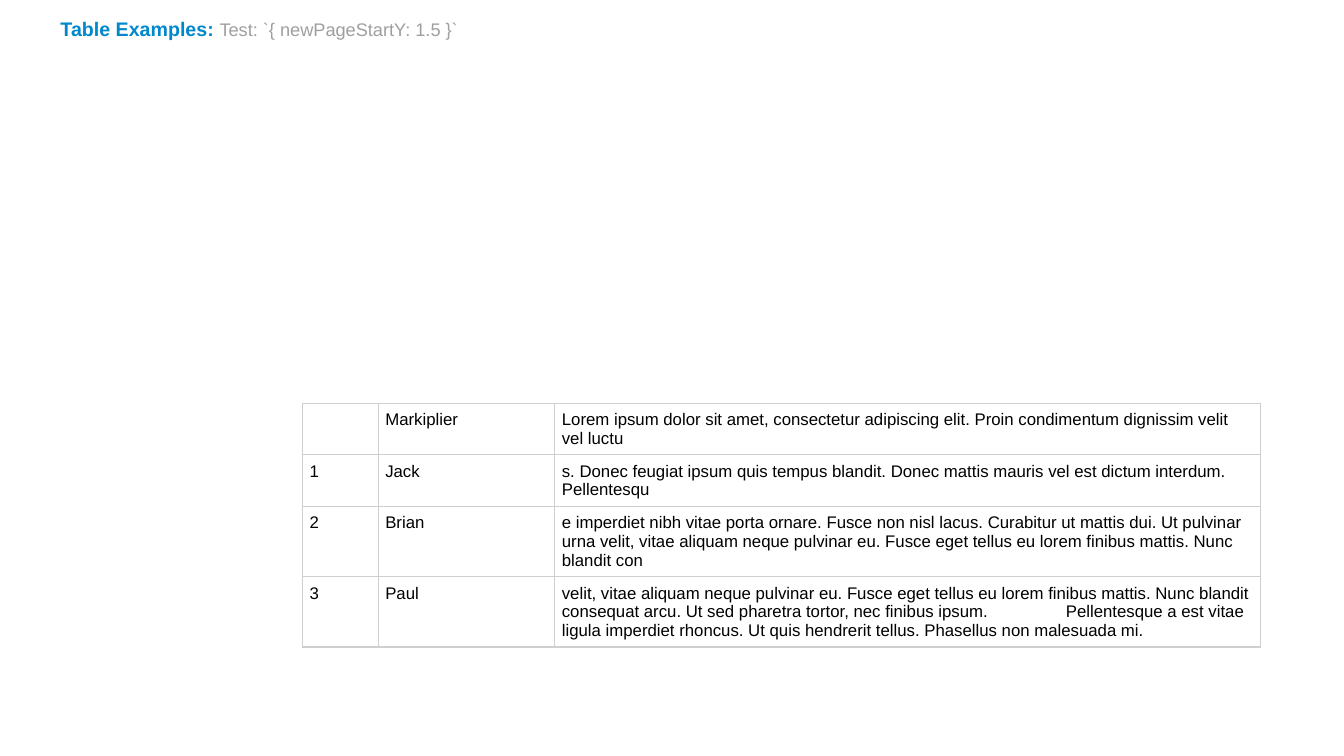
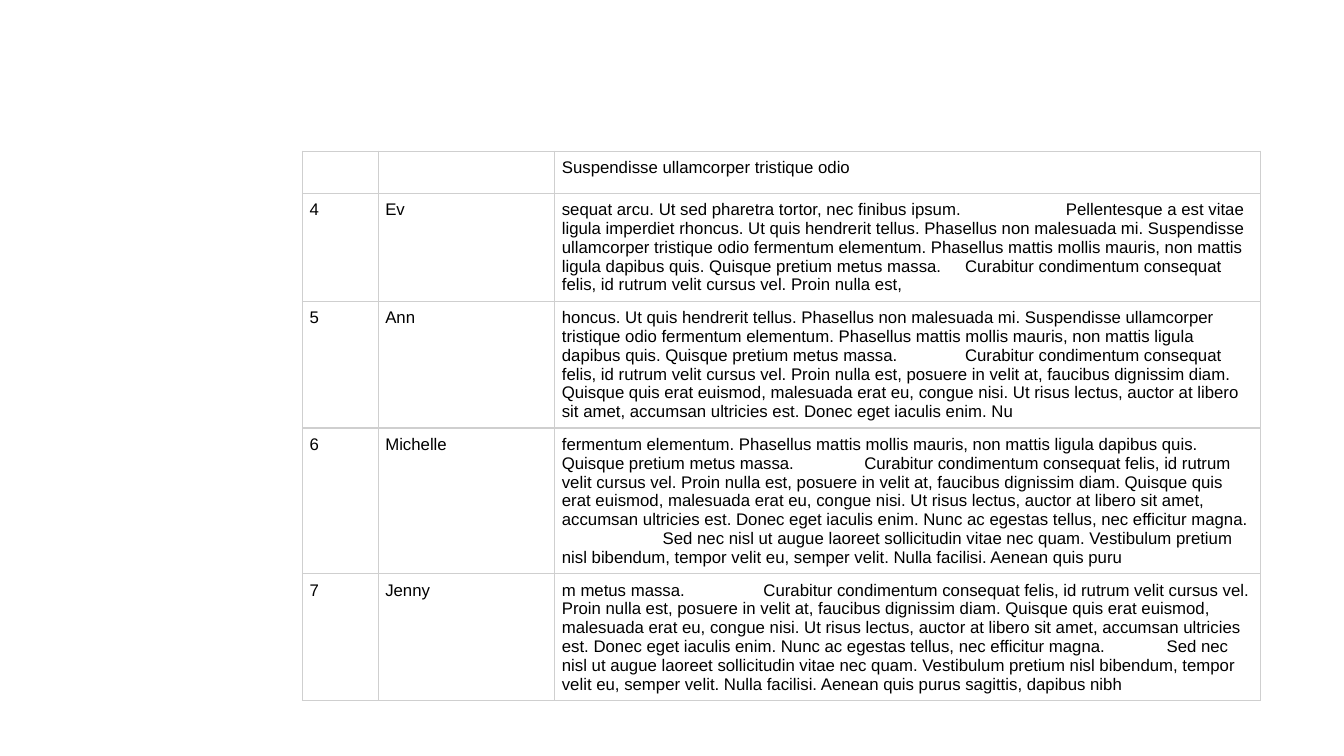
from lxml import etree
from pptx import Presentation
from pptx.dml.color import RGBColor
from pptx.enum.text import MSO_ANCHOR, MSO_AUTO_SIZE, PP_ALIGN
from pptx.oxml.ns import qn
from pptx.util import Cm, Pt

LEFT = PP_ALIGN.LEFT
MIDDLE = MSO_ANCHOR.MIDDLE
NO_FIT = MSO_AUTO_SIZE.NONE
TITLE_ONLY, BLANK = 5, 6

FONT = "Arial"
BLUE, GRAY, BLACK, BORDER = "0088CC", "9F9F9F", "000000", "CFCFCF"
COL_WIDTHS = [Cm(1.91), Cm(4.45), Cm(17.78)]
ROW_HEIGHT = Cm(1.06)
TABLE_LEFT = Cm(7.62)
INSET = Cm(0.18)
BOTTOM_INSET = Cm(0.17)
TAB_STEP = Cm(2.54)
TAB_COUNT = 6


def style_run(r, size, color, bold=False):
    r.font.name = FONT
    r.font.size = Pt(size)
    r.font.bold = bold
    r.font.color.rgb = RGBColor.from_string(color)


def add_borders(cell):
    tcPr = cell._tc.get_or_add_tcPr()
    for side in ("lnL", "lnR", "lnT", "lnB"):
        ln = etree.SubElement(tcPr, qn(f"a:{side}"), w=str(Pt(1)))
        fill = etree.SubElement(ln, qn("a:solidFill"))
        etree.SubElement(fill, qn("a:srgbClr"), val=BORDER)


title_parts = [
    ("Table Examples: ", 14, BLUE, True),
    ("Test: `{ newPageStartY: 1.5 }`", 13, GRAY, False),
]

first_rows = [
    ("", "Markiplier", "Lorem ipsum dolor sit amet, consectetur adipiscing elit. Proin condimentum dignissim velit vel luctu"),
    ("1", "Jack", "s. Donec feugiat ipsum quis tempus blandit. Donec mattis mauris vel est dictum interdum. Pellentesqu"),
    ("2", "Brian", "e imperdiet nibh vitae porta ornare. Fusce non nisl lacus. Curabitur ut mattis dui. "
     "Ut pulvinar urna velit, vitae aliquam neque pulvinar eu. Fusce eget tellus eu lorem finibus mattis. "
     "Nunc blandit con"),
    ("3", "Paul", "velit, vitae aliquam neque pulvinar eu. Fusce eget tellus eu lorem finibus mattis. "
     "Nunc blandit consequat arcu. Ut sed pharetra tortor, nec finibus ipsum. \t"
     "Pellentesque a est vitae ligula imperdiet rhoncus. Ut quis hendrerit tellus. Phasellus non malesuada mi."),
]

second_rows = [
    ("", "", "Suspendisse ullamcorper tristique odio"),
    ("4", "Ev", "sequat arcu. Ut sed pharetra tortor, nec finibus ipsum. \t"
     "Pellentesque a est vitae ligula imperdiet rhoncus. Ut quis hendrerit tellus. Phasellus non malesuada mi. "
     "Suspendisse ullamcorper tristique odio fermentum elementum. "
     "Phasellus mattis mollis mauris, non mattis ligula dapibus quis. Quisque pretium metus massa. \t"
     "Curabitur condimentum consequat felis, id rutrum velit cursus vel. Proin nulla est,"),
    ("5", "Ann", "honcus. Ut quis hendrerit tellus. Phasellus non malesuada mi. "
     "Suspendisse ullamcorper tristique odio fermentum elementum. "
     "Phasellus mattis mollis mauris, non mattis ligula dapibus quis. Quisque pretium metus massa. \t"
     "Curabitur condimentum consequat felis, id rutrum velit cursus vel. "
     "Proin nulla est, posuere in velit at, faucibus dignissim diam. "
     "Quisque quis erat euismod, malesuada erat eu, congue nisi. "
     "Ut risus lectus, auctor at libero sit amet, accumsan ultricies est. Donec eget iaculis enim. Nu"),
    ("6", "Michelle", "fermentum elementum. Phasellus mattis mollis mauris, non mattis ligula dapibus quis. "
     "Quisque pretium metus massa. \tCurabitur condimentum consequat felis, id rutrum velit cursus vel. "
     "Proin nulla est, posuere in velit at, faucibus dignissim diam. "
     "Quisque quis erat euismod, malesuada erat eu, congue nisi. "
     "Ut risus lectus, auctor at libero sit amet, accumsan ultricies est. Donec eget iaculis enim. "
     "Nunc ac egestas tellus, nec efficitur magna. \tSed nec nisl ut augue laoreet sollicitudin vitae nec quam. "
     "Vestibulum pretium nisl bibendum, tempor velit eu, semper velit. Nulla facilisi. Aenean quis puru"),
    ("7", "Jenny", "m metus massa. \tCurabitur condimentum consequat felis, id rutrum velit cursus vel. "
     "Proin nulla est, posuere in velit at, faucibus dignissim diam. "
     "Quisque quis erat euismod, malesuada erat eu, congue nisi. "
     "Ut risus lectus, auctor at libero sit amet, accumsan ultricies est. Donec eget iaculis enim. "
     "Nunc ac egestas tellus, nec efficitur magna. \tSed nec nisl ut augue laoreet sollicitudin vitae nec quam. "
     "Vestibulum pretium nisl bibendum, tempor velit eu, semper velit. Nulla facilisi. "
     "Aenean quis purus sagittis, dapibus nibh"),
]

pages = [
    (TITLE_ONLY, Cm(10.16), first_rows),
    (BLANK, Cm(3.81), second_rows),
]

prs = Presentation()
prs.slide_width = Cm(33.87)
prs.slide_height = Cm(19.05)

for layout, top, rows in pages:
    s = prs.slides.add_slide(prs.slide_layouts[layout])
    title = s.shapes.title
    if title is not None:
        title.left, title.top, title.width, title.height = Cm(1.27), Cm(0.35), Cm(30.48), Cm(0.76)
        tf = title.text_frame
        tf.auto_size = NO_FIT
        tf.vertical_anchor = MIDDLE
        p = tf.paragraphs[0]
        p.alignment = LEFT
        for text, size, color, bold in title_parts:
            r = p.add_run()
            r.text = text
            style_run(r, size, color, bold)

    table = s.shapes.add_table(len(rows), len(COL_WIDTHS), TABLE_LEFT, top,
                               sum(COL_WIDTHS), ROW_HEIGHT * len(rows)).table
    table.first_row = False
    table.horz_banding = False
    for column, width in zip(table.columns, COL_WIDTHS):
        column.width = width
    for i, row in enumerate(rows):
        table.rows[i].height = ROW_HEIGHT
        for j, text in enumerate(row):
            cell = table.cell(i, j)
            add_borders(cell)
            cell.fill.background()
            if text:
                cell.margin_left = cell.margin_right = cell.margin_top = INSET
                cell.margin_bottom = BOTTOM_INSET
                cell.text_frame.text = text
                p = cell.text_frame.paragraphs[0]
                if "\t" in text:
                    tabs = etree.SubElement(p._p.get_or_add_pPr(), qn("a:tabLst"))
                    for n in range(1, TAB_COUNT + 1):
                        etree.SubElement(tabs, qn("a:tab"), pos=str(TAB_STEP * n), algn="l")
                style_run(p.runs[0], 12, BLACK)

prs.save("out.pptx")
